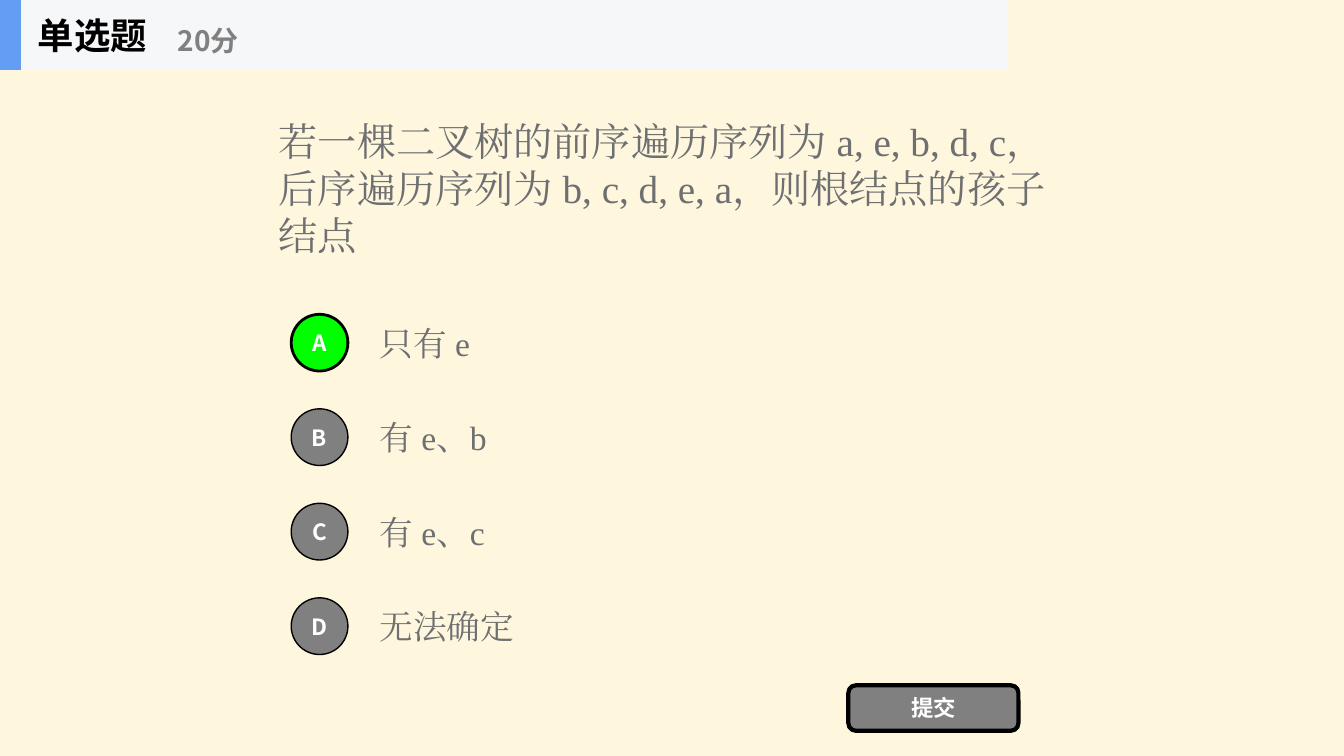
from typing import NamedTuple

from lxml.etree import SubElement
from pptx import Presentation
from pptx.dml.color import RGBColor
from pptx.enum.shapes import MSO_SHAPE as Preset
from pptx.enum.text import MSO_ANCHOR as Anchor
from pptx.enum.text import MSO_AUTO_SIZE as AutoSize
from pptx.enum.text import PP_ALIGN as Align
from pptx.oxml.ns import qn
from pptx.util import Pt

SERIF = "Times New Roman"
SANS = "Noto Sans CJK SC"
BLACK, WHITE, GREY, GREEN = "000000", "FFFFFF", "808080", "00FF00"
TEXT_GREY = "6D6F71"
OPTION_PITCH = 67.5
HEADER_HEIGHT = 50


class Box(NamedTuple):
    left: float
    top: float
    width: float
    height: float

    def lengths(self) -> tuple:
        return tuple(Pt(value) for value in self)


class Style(NamedTuple):
    font: str
    size: float
    color: str
    bold: bool = False
    align: Align = Align.LEFT


class Option(NamedTuple):
    letter: str
    text: str
    chosen: bool = False


QUESTION = Style(SERIF, 28, TEXT_GREY)
ANSWER = Style(SERIF, 24, TEXT_GREY)
BUTTON = Style(SANS, 16, WHITE, True, Align.CENTER)
QUIZ_TYPE = Style(SANS, 26, BLACK, True)
POINTS = Style(SANS, 20, GREY, True)

OPTIONS = [
    Option("A", "只有 e", chosen=True),
    Option("B", "有 e、b"),
    Option("C", "有 e、c"),
    Option("D", "无法确定"),
]


def set_fill(fill, color: str) -> None:
    fill.solid()
    fill.fore_color.rgb = RGBColor.from_string(color)


def write(shape, text: str, style: Style) -> None:
    frame = shape.text_frame
    frame.word_wrap = True
    frame.auto_size = AutoSize.NONE
    frame.vertical_anchor = Anchor.MIDDLE
    paragraph = frame.paragraphs[0]
    paragraph.alignment = style.align
    run = paragraph.add_run()
    run.text = text
    font = run.font
    font.size, font.bold, font.name = Pt(style.size), style.bold, style.font
    set_fill(font.fill, style.color)
    east_asian = SubElement(run._r.get_or_add_rPr(), qn("a:ea"))
    east_asian.set("typeface", style.font)


def add_text(slide, box: Box, text: str, style: Style) -> None:
    write(slide.shapes.add_textbox(*box.lengths()), text, style)


def add_panel(slide, preset: Preset, box: Box, color: str, line_width: float = 0):
    """Add a filled shape, outlined in black when a line width is given."""
    shape = slide.shapes.add_shape(preset, *box.lengths())
    shape.shadow.inherit = False
    set_fill(shape.fill, color)
    if line_width:
        set_fill(shape.line.fill, BLACK)
        shape.line.width = Pt(line_width)
    else:
        shape.line.fill.background()
    return shape


def add_question(slide, text: str) -> None:
    title = slide.shapes.title
    title.left, title.top, title.width, title.height = Box(192, 50, 576, 168.5).lengths()
    write(title, text, QUESTION)


def add_option(slide, option: Option, offset: float) -> None:
    add_text(slide, Box(264, 219.5 + offset, 504, 50.5), option.text, ANSWER)
    color, line_width = (GREEN, 2) if option.chosen else (GREY, 1)
    circle = add_panel(slide, Preset.OVAL, Box(208, 224.5 + offset, 40.5, 40.5), color, line_width)
    write(circle, option.letter, BUTTON)


def add_header(slide) -> None:
    add_panel(slide, Preset.RECTANGLE, Box(0, 0, 720, HEADER_HEIGHT), "F6F7F8")
    add_panel(slide, Preset.RECTANGLE, Box(0, 0, 15, HEADER_HEIGHT), "639EF4")
    add_text(slide, Box(20, 0, 150, HEADER_HEIGHT), "单选题", QUIZ_TYPE)
    add_text(slide, Box(120, 8.5, 180, 40.5), "20分", POINTS)


def main() -> None:
    presentation = Presentation()
    presentation.slide_width, presentation.slide_height = Pt(960), Pt(540)
    slide = presentation.slides.add_slide(presentation.slide_layouts.get_by_name("Title Only"))
    set_fill(slide.background.fill, "FFF6DE")

    add_question(
        slide,
        "若一棵二叉树的前序遍历序列为 a, e, b, d, c，"
        "后序遍历序列为 b, c, d, e, a，则根结点的孩子结点",
    )
    for index, option in enumerate(OPTIONS):
        add_option(slide, option, index * OPTION_PITCH)
    submit = add_panel(slide, Preset.ROUNDED_RECTANGLE, Box(606, 489.5, 121.5, 32.5), GREY, 3)
    write(submit, "提交", BUTTON)
    add_header(slide)

    presentation.save("out.pptx")


if __name__ == "__main__":
    main()
